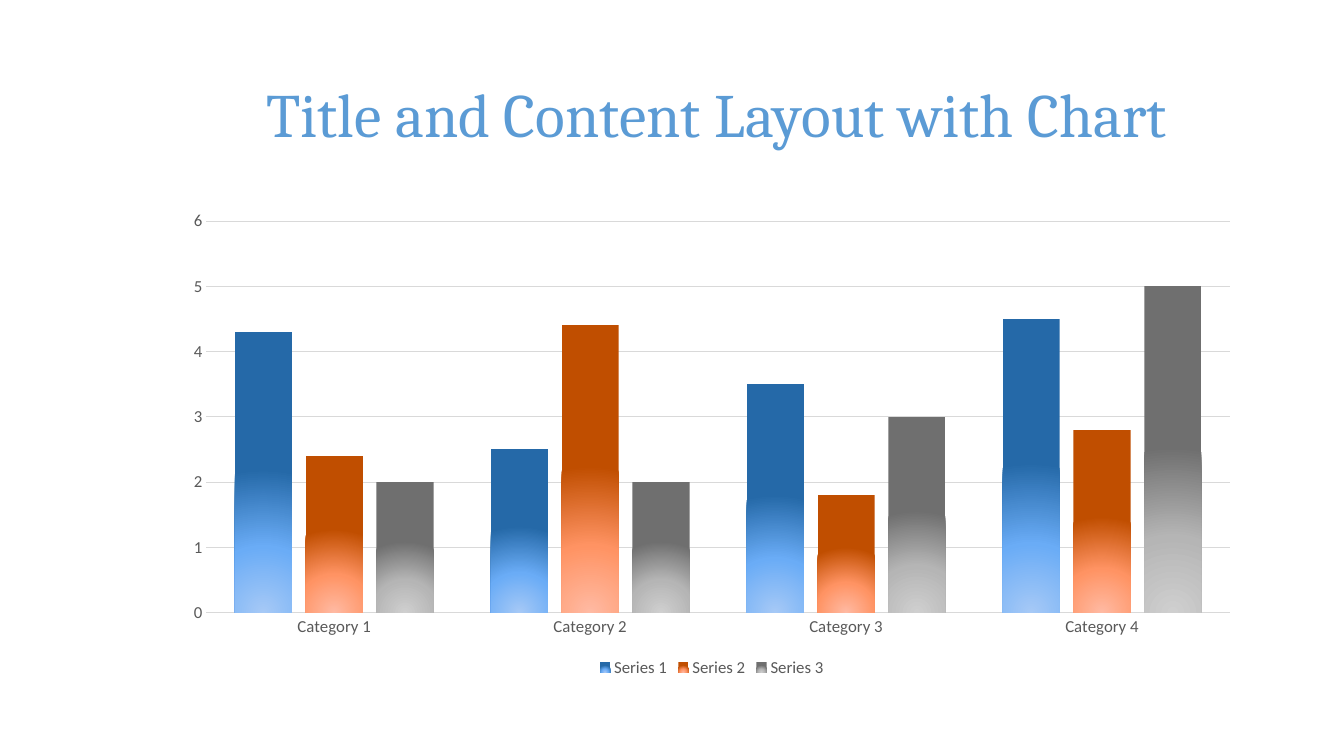
from pptx import Presentation
from pptx.chart.data import CategoryChartData
from pptx.dml.color import RGBColor
from pptx.enum.chart import XL_CHART_TYPE as ChartType
from pptx.enum.chart import XL_LEGEND_POSITION as LegendPosition
from pptx.enum.chart import XL_TICK_MARK as TickMark
from pptx.enum.text import MSO_ANCHOR as Anchor
from pptx.enum.text import MSO_AUTO_SIZE as AutoSize
from pptx.enum.text import PP_ALIGN as Align
from pptx.oxml import parse_xml
from pptx.oxml.ns import nsdecls
from pptx.util import Emu, Pt

PX = 9525
COLORS = {
    "background": "FFFFFF",
    "title": "5B9BD5",
    "label": "595959",
    "grid": "D9D9D9",
}
CATEGORIES = [f"Category {number}" for number in range(1, 5)]
SERIES = {
    "Series 1": ((4.3, 2.5, 3.5, 4.5), ("A6C9F6", "6AACF6", "2569A8")),
    "Series 2": ((2.4, 4.4, 1.8, 2.8), ("FFBAA3", "FF9363", "C04E00")),
    "Series 3": ((2, 2, 3, 5), ("CFCFCF", "B5B5B5", "6F6F6F")),
}
GRADIENT_STOPS = (0, 46, 100)


def px(*lengths):
    return [Emu(length * PX) for length in lengths]


def rgb(name):
    return RGBColor.from_string(COLORS[name])


def set_format(target, values):
    for attribute, value in values.items():
        setattr(target, attribute, value)


def format_font(font, name, size, color):
    set_format(font, {"name": name, "size": Pt(size)})
    font.color.rgb = rgb(color)


def format_line(line, width):
    line.width = Pt(width)
    line.color.rgb = rgb("grid")


def add_title(slide, wording, box):
    title = slide.shapes.title
    set_format(title, dict(zip(("left", "top", "width", "height"), px(*box))))
    frame = title.text_frame
    set_format(frame, {
        "text": wording,
        "vertical_anchor": Anchor.MIDDLE,
        "auto_size": AutoSize.NONE,
        "word_wrap": True,
    })
    heading = frame.paragraphs[0]
    heading.alignment = Align.LEFT
    format_font(heading.runs[0].font, "Cambria", 44, "title")


def fill_radial(series, shades):
    stops = "".join(
        f'<a:gs pos="{stop * 1000}"><a:srgbClr val="{shade}"/></a:gs>'
        for stop, shade in zip(GRADIENT_STOPS, shades)
    )
    gradient = parse_xml(
        f'<a:gradFill {nsdecls("a")}><a:gsLst>{stops}</a:gsLst>'
        '<a:path path="circle">'
        '<a:fillToRect l="50000" t="155000" r="50000" b="-55000"/>'
        "</a:path></a:gradFill>"
    )
    series.invert_if_negative = False
    series._element.get_or_add_spPr().append(gradient)


def format_axes(chart):
    for axis in (chart.category_axis, chart.value_axis):
        set_format(axis, {
            "major_tick_mark": TickMark.NONE,
            "minor_tick_mark": TickMark.NONE,
        })
        format_font(axis.tick_labels.font, "Calibri", 12, "label")
    format_line(chart.category_axis.format.line, 1)
    values = chart.value_axis
    set_format(values, {
        "minimum_scale": 0,
        "maximum_scale": 6,
        "major_unit": 1,
        "has_major_gridlines": True,
    })
    values.format.line.fill.background()
    format_line(values.major_gridlines.format.line, 0.75)


def add_column_chart(slide, box):
    chart_data = CategoryChartData()
    chart_data.categories = CATEGORIES
    for name, (values, _) in SERIES.items():
        chart_data.add_series(name, values)
    chart = slide.shapes.add_chart(
        ChartType.COLUMN_CLUSTERED, *px(*box), chart_data
    ).chart
    set_format(chart, {"has_title": False, "has_legend": True})
    format_font(chart.font, "Calibri", 10, "label")
    set_format(chart.legend, {
        "position": LegendPosition.BOTTOM,
        "include_in_layout": False,
    })
    format_font(chart.legend.font, "Calibri", 12, "label")
    columns = chart.plots[0]
    set_format(columns, {
        "gap_width": 100,
        "overlap": -24,
        "vary_by_categories": False,
    })
    for series in columns.series:
        fill_radial(series, SERIES[series.name][1])
    format_axes(chart)


def main():
    deck = Presentation()
    deck.slide_width, deck.slide_height = px(1280, 720)
    slide = deck.slides.add_slide(deck.slide_layouts[5])
    slide.background.fill.solid()
    slide.background.fill.fore_color.rgb = rgb("background")
    add_column_chart(slide, (164, 192, 1028, 457))
    add_title(slide, "Title and Content Layout with Chart", (244, 38, 948, 139))
    deck.save("out.pptx")


if __name__ == "__main__":
    main()
